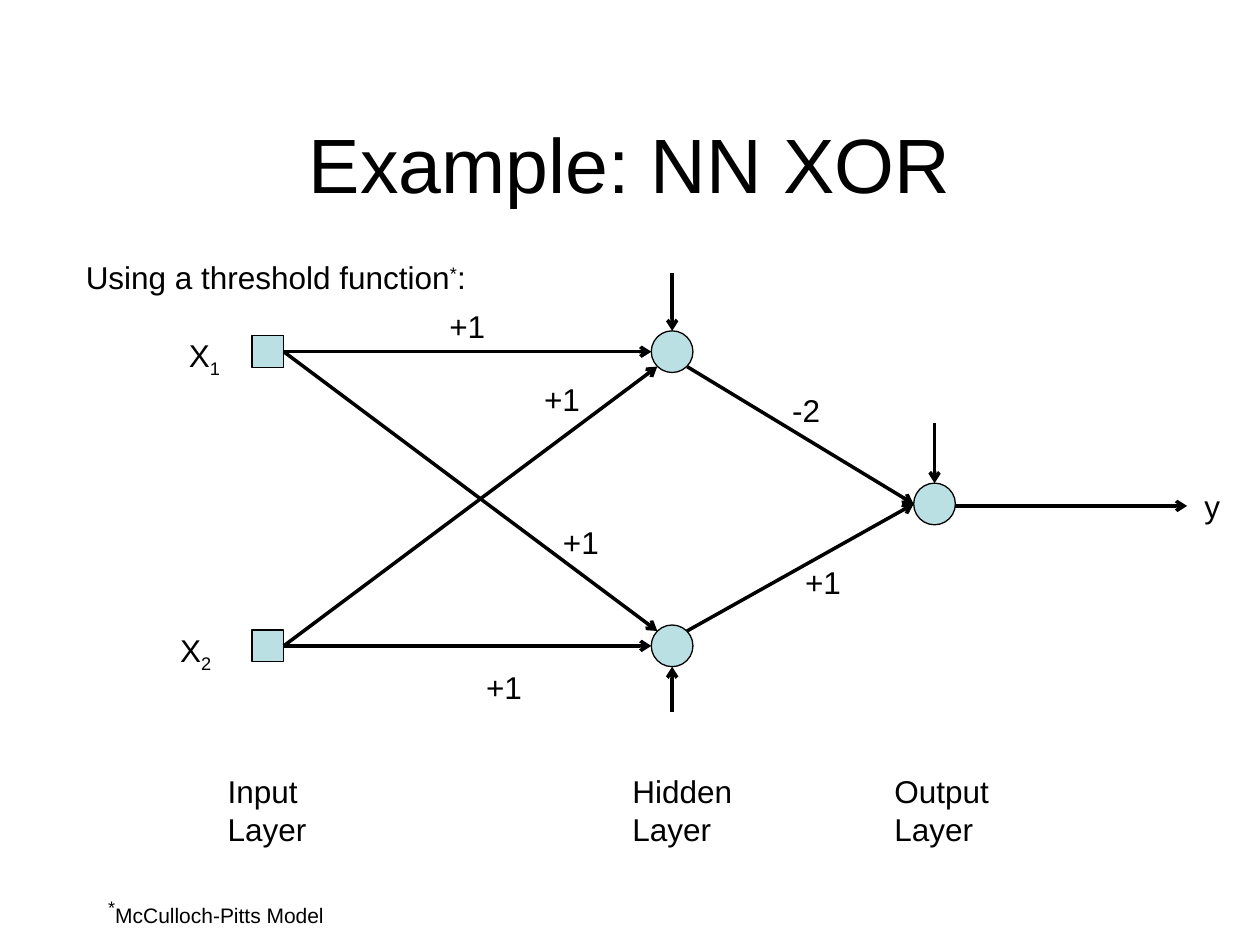
from lxml.etree import SubElement
from pptx import Presentation
from pptx.dml.color import RGBColor
from pptx.enum.shapes import MSO_CONNECTOR, MSO_SHAPE
from pptx.enum.text import MSO_ANCHOR, MSO_AUTO_SIZE, PP_ALIGN
from pptx.oxml.ns import qn
from pptx.util import Cm, Pt

BLACK, PALE = "000000", "BBE0E3"
INPUT_X, HIDDEN_X, OUTPUT_X = 5.4, 13.55, 18.84
TOP_Y, MIDDLE_Y, BOTTOM_Y = 7.09, 10.16, 13.02
SQUARE, CIRCLE = 0.64, 0.84
RADIUS = CIRCLE / 2
DIAGONAL = 0.3  # offset of the 45° point on a circle


def color(hex_string):
    return RGBColor.from_string(hex_string)


def add_text(s, text, x, y, w, h=1.02, size=18, align=PP_ALIGN.LEFT,
             anchor=MSO_ANCHOR.TOP, wrap=False):
    """Each line is a string or a list of (text, baseline percent, size) runs."""
    tf = s.shapes.add_textbox(Cm(x), Cm(y), Cm(w), Cm(h)).text_frame
    tf.word_wrap = wrap
    tf.auto_size = MSO_AUTO_SIZE.NONE if wrap else MSO_AUTO_SIZE.SHAPE_TO_FIT_TEXT
    tf.vertical_anchor = anchor
    for i, line in enumerate(text if isinstance(text, list) else [text]):
        p = tf.add_paragraph() if i else tf.paragraphs[0]
        p.alignment = align
        runs = [(line, 0, size)] if isinstance(line, str) else line
        for run_text, baseline, run_size in runs:
            r = p.add_run()
            r.text = run_text
            r.font.name = "Arial"
            r.font.size = Pt(run_size)
            r.font.color.rgb = color(BLACK)
            if baseline:
                r._r.get_or_add_rPr().set("baseline", str(baseline * 1000))


def add_node(s, kind, cx, cy, size):
    sp = s.shapes.add_shape(kind, Cm(cx - size / 2), Cm(cy - size / 2),
                            Cm(size), Cm(size))
    sp.shadow.inherit = False
    sp.fill.solid()
    sp.fill.fore_color.rgb = color(PALE)
    sp.line.color.rgb = color(BLACK)
    sp.line.width = Pt(0.75)
    return sp


def add_arrow(s, start, end, source=None):
    """Draw an arrow, joined to the right side of source if one is given."""
    c = s.shapes.add_connector(MSO_CONNECTOR.STRAIGHT,
                               *(Cm(v) for v in (*start, *end)))
    if source is not None:
        c.begin_connect(source, 3)
    c.line.color.rgb = color(BLACK)
    c.line.width = Pt(2)
    SubElement(c.line._get_or_add_ln(), qn("a:tailEnd"), type="arrow")
    SubElement(c._element.spPr, qn("a:effectLst"))


def add_network(s):
    right = INPUT_X + SQUARE / 2
    # side points towards the middle of the network
    for y, other_y, inward in ((TOP_Y, BOTTOM_Y, 1), (BOTTOM_Y, TOP_Y, -1)):
        square = add_node(s, MSO_SHAPE.RECTANGLE, INPUT_X, y, SQUARE)
        add_node(s, MSO_SHAPE.OVAL, HIDDEN_X, y, CIRCLE)
        add_arrow(s, (right, y), (HIDDEN_X - RADIUS, y), square)
        add_arrow(s, (right, y),
                  (HIDDEN_X - DIAGONAL, other_y - inward * DIAGONAL), square)
        add_arrow(s, (HIDDEN_X + DIAGONAL, y + inward * DIAGONAL),
                  (OUTPUT_X - RADIUS, MIDDLE_Y))
    add_node(s, MSO_SHAPE.OVAL, OUTPUT_X, MIDDLE_Y, CIRCLE)
    add_arrow(s, (OUTPUT_X + RADIUS, 10.2), (23.93, 10.2))

    for x, start_y, end_y in ((HIDDEN_X, 5.51, TOP_Y - RADIUS),
                              (HIDDEN_X, 14.35, BOTTOM_Y + RADIUS),
                              (OUTPUT_X, 8.53, MIDDLE_Y - RADIUS)):
        add_arrow(s, (x, start_y), (x, end_y))


def add_labels(s):
    for weight, x, y in (("+1", 8.81, 6.07), ("+1", 10.72, 7.54),
                         ("+1", 11.1, 10.41), ("+1", 9.55, 13.34),
                         ("-2", 15.72, 7.75), ("+1", 15.98, 11.23)):
        add_text(s, weight, x, y, 1.24 if weight == "+1" else 1.09)
    for index, x, y in (("1", 3.56, 6.65), ("2", 3.38, 12.6)):
        add_text(s, [[("X", 0, 18), (index, -25, 18)]], x, y, 1.17)
    add_text(s, "y", 24.03, 9.7, 0.84)
    for layer, x, w in (("Input", 4.34, 2.11), ("Hidden", 12.5, 2.54),
                        ("Output", 17.78, 2.44)):
        add_text(s, [layer, "Layer"], x, 15.44, w, 1.8)


def main():
    prs = Presentation()
    prs.slide_width, prs.slide_height = Cm(25.4), Cm(19.05)
    s = prs.slides.add_slide(prs.slide_layouts[6])
    add_text(s, "Example: NN XOR", 1.9, 1.7, 21.6, 3.18, size=44,
             align=PP_ALIGN.CENTER, anchor=MSO_ANCHOR.MIDDLE, wrap=True)
    add_text(s, [[("Using a threshold function", 0, 18), ("*", 30, 18),
                  (":", 0, 18)]], 1.48, 5.08, 8.25)
    add_network(s)
    add_labels(s)
    add_text(s, [[("*", 30, 18), ("McCulloch-Pitts Model", 0, 12)]],
             1.93, 17.86, 4.93, 0.76)
    prs.save("out.pptx")


if __name__ == "__main__":
    main()
